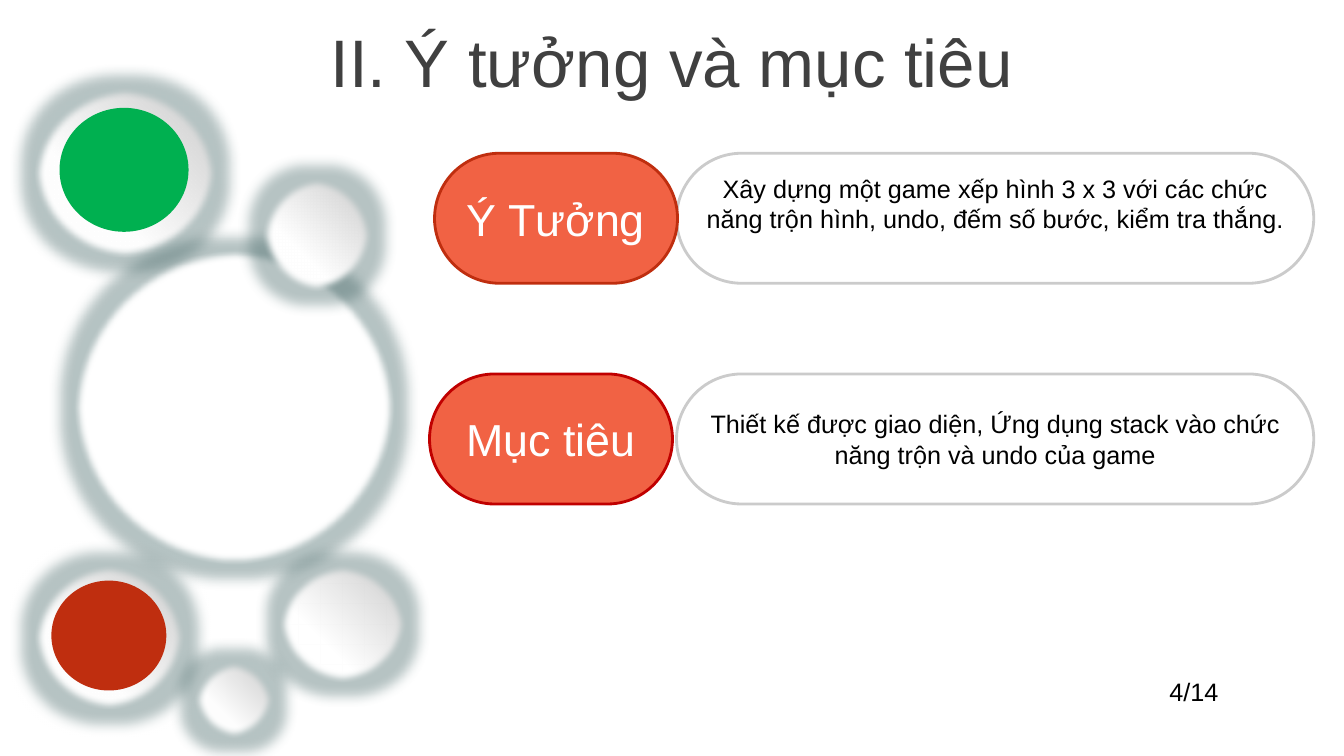
from lxml import etree
from pptx import Presentation
from pptx.dml.color import RGBColor
from pptx.enum.shapes import MSO_SHAPE
from pptx.enum.text import MSO_ANCHOR, PP_ALIGN
from pptx.oxml import parse_xml
from pptx.oxml.ns import nsdecls, qn
from pptx.util import Inches, Pt

WHITE = RGBColor(0xFF, 0xFF, 0xFF)
BLACK = RGBColor(0, 0, 0)
TITLE_GRAY = RGBColor(0x40, 0x40, 0x40)
SILVER = RGBColor(0xCB, 0xCB, 0xCB)
RIM = RGBColor(0xD9, 0xD9, 0xD9)
BIG_RIM = RGBColor(0xDC, 0xE2, 0xE2)
GLOW = RGBColor(0x48, 0x69, 0x69)
ORANGE = RGBColor(0xF1, 0x62, 0x44)
RUST = RGBColor(0xBF, 0x2E, 0x0F)
RED = RGBColor(0xC0, 0, 0)
GREEN = RGBColor(0, 0xB0, 0x50)
FONT = "Arial"

TITLE = "II. Ý tưởng và mục tiêu"
PAGE = "4/14"
# label, description, top, label left, label line, extra inset below the description
ROWS = [
    ("Ý Tưởng", "Xây dựng một game xếp hình 3 x 3 với các chức năng trộn hình, "
     "undo, đếm số bước, kiểm tra thắng.", 1.52, 4.31, RUST, 0.29),
    ("Mục tiêu", "Thiết kế được giao diện, Ứng dụng stack vào chức năng trộn và "
     "undo của game", 3.71, 4.26, RED, 0),
]
# left, top, width, height, style: "pearl", "ring" or a plain colour
CIRCLES = [
    (0.34, 0.87, 1.8, 1.69, "pearl"),
    (0.73, 2.48, 3.18, 3.12, "ring"),
    (0.34, 5.61, 1.49, 1.44, "pearl"),
    (2.77, 5.61, 1.26, 1.17, "pearl"),
    (2.6, 1.77, 1.09, 1.13, "pearl"),
    (0.51, 5.76, 1.14, 1.09, RUST),
    (1.92, 6.56, 0.8, 0.77, "pearl"),
    (0.59, 1.07, 1.28, 1.23, GREEN),
]
BODY_LEFT, BODY_W, LABEL_W, PILL_H = 6.71, 6.32, 2.41, 1.29


def write(tf, text, size, color, align=PP_ALIGN.CENTER):
    p = tf.paragraphs[0]
    p.alignment = align
    r = p.add_run()
    r.text = text
    r.font.name = FONT
    r.font.size = Pt(size)
    r.font.color.rgb = color


def add_shape(kind, box, fill, line=None):
    sp = s.shapes.add_shape(kind, *map(Inches, box))
    sp.shadow.inherit = False
    sp.fill.solid()
    sp.fill.fore_color.rgb = fill
    if line is None:
        sp.line.fill.background()
    else:
        sp.line.color.rgb = line
        sp.line.width = Pt(2)
    return sp


def add_pill(box, fill, line, text, size, color):
    sp = add_shape(MSO_SHAPE.ROUNDED_RECTANGLE, box, fill, line)
    sp.adjustments[0] = 0.5
    sp.text_frame.word_wrap = True
    sp.text_frame.vertical_anchor = MSO_ANCHOR.MIDDLE
    write(sp.text_frame, text, size, color)
    return sp


def add_glow(sp):
    """Give the shape a soft edge and a wide translucent glow."""
    effects = sp._element.spPr.find(qn("a:effectLst"))
    effects.append(parse_xml(
        f'<a:glow {nsdecls("a")} rad="{Pt(18)}"><a:srgbClr val="{GLOW}">'
        '<a:alpha val="40000"/></a:srgbClr></a:glow>'))
    effects.append(parse_xml(f'<a:softEdge {nsdecls("a")} rad="{Pt(5)}"/>'))


def add_pearl_fill(sp):
    """Shade the shape from white at lower left to silver, with a translucent rim."""
    stops = "".join(
        f'<a:gs pos="{pos * 1000}"><a:srgbClr val="{color}"/></a:gs>'
        for pos, color in [(0, WHITE), (35, WHITE), (100, SILVER)])
    spPr = sp._element.spPr
    spPr.replace(spPr.find(qn("a:solidFill")), parse_xml(
        f'<a:gradFill {nsdecls("a")} rotWithShape="1"><a:gsLst>{stops}</a:gsLst>'
        '<a:path path="circle"><a:fillToRect t="100000" r="100000"/></a:path>'
        '</a:gradFill>'))
    rim = spPr.find(qn("a:ln")).find(".//" + qn("a:srgbClr"))
    etree.SubElement(rim, qn("a:alpha")).set("val", "94000")


prs = Presentation()
prs.slide_width, prs.slide_height = Inches(13.33), Inches(7.5)
s = prs.slides.add_slide(prs.slide_layouts[5])

title = s.shapes.title
title.left, title.top = Inches(0), Inches(0.18)
title.width, title.height = Inches(13.33), Inches(0.84)
title.text_frame.vertical_anchor = MSO_ANCHOR.MIDDLE
write(title.text_frame, TITLE, 48, TITLE_GRAY)

for *box, style in CIRCLES:
    if style == "pearl":
        sp = add_shape(MSO_SHAPE.OVAL, box, WHITE, RIM)
        add_pearl_fill(sp)
        add_glow(sp)
    elif style == "ring":
        add_glow(add_shape(MSO_SHAPE.OVAL, box, WHITE, BIG_RIM))
    else:
        add_shape(MSO_SHAPE.OVAL, box, style)

for label, text, top, left, line, inset in ROWS:
    body = add_pill((BODY_LEFT, top, BODY_W, PILL_H), WHITE, SILVER, text, 18, BLACK)
    body.text_frame.margin_bottom = Inches(0.05 + inset)
    add_pill((left, top, LABEL_W, PILL_H), ORANGE, line, label, 32, WHITE)

page = s.shapes.add_textbox(Inches(11.5), Inches(6.66), Inches(0.69), Inches(0.4))
page.text_frame.word_wrap = False
write(page.text_frame, PAGE, 18, BLACK, PP_ALIGN.LEFT)

prs.save("out.pptx")
